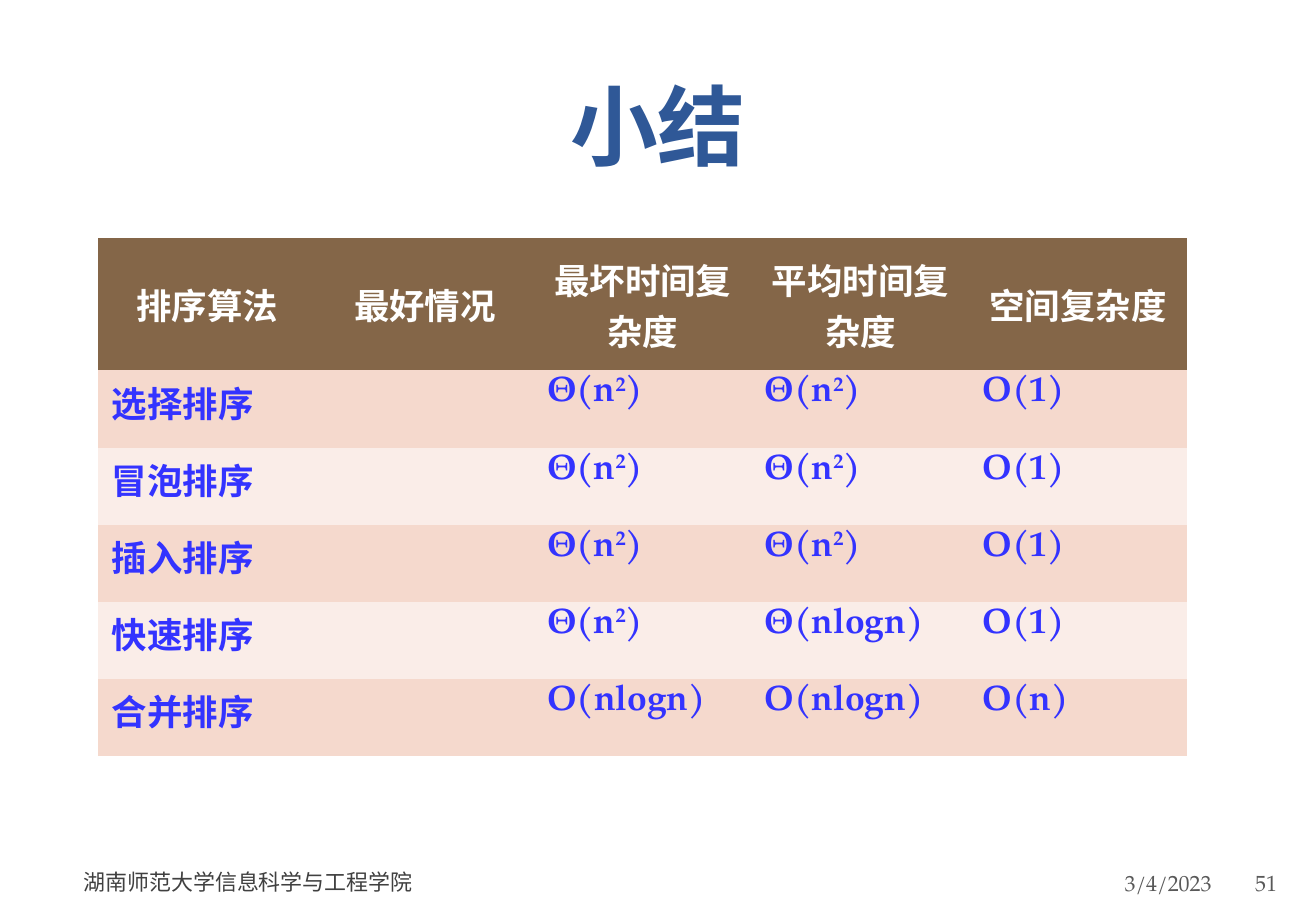
"""Build the summary slide comparing the complexity of sorting algorithms."""
from dataclasses import dataclass

from pptx import Presentation
from pptx.dml.color import RGBColor
from pptx.enum.text import MSO_ANCHOR, PP_ALIGN
from pptx.util import Inches, Pt

LEFT, CENTER, RIGHT = PP_ALIGN.LEFT, PP_ALIGN.CENTER, PP_ALIGN.RIGHT
TOP, MIDDLE, BOTTOM = MSO_ANCHOR.TOP, MSO_ANCHOR.MIDDLE, MSO_ANCHOR.BOTTOM


@dataclass(frozen=True)
class Theme:
    font: str = "TeX Gyre Pagella"
    background: str = "FFFFFF"
    title: str = "2F5897"
    header_text: str = "FFFFFF"
    header_fill: str = "846648"
    body_text: str = "3333FF"
    bands: tuple = ("F5D9CD", "FAEDE8")
    footer: str = "404040"
    page_info: str = "595959"
    title_size: int = 52
    table_size: int = 21
    footer_size: int = 13


theme = Theme()


def add_run(p, text, size, color, bold=False):
    r = p.add_run()
    r.text = text
    r.font.name = theme.font
    r.font.size = Pt(size)
    r.font.bold = bold
    r.font.color.rgb = RGBColor.from_string(color)
    return r


def set_margins(box, left, right):
    box.margin_left, box.margin_right = Inches(left), Inches(right)
    box.margin_top = box.margin_bottom = Inches(0.05)


prs = Presentation()
prs.slide_width, prs.slide_height = Inches(10.83), Inches(7.5)
s = prs.slides.add_slide(prs.slide_layouts[5])
s.background.fill.solid()
s.background.fill.fore_color.rgb = RGBColor.from_string(theme.background)

title = s.shapes.title
title.left, title.top = Inches(0.54), Inches(0.36)
title.width, title.height = Inches(9.75), Inches(1.15)
tf = title.text_frame
tf.vertical_anchor = BOTTOM
p = tf.paragraphs[0]
p.alignment = CENTER
p.line_spacing = Pt(62.8)
add_run(p, "小结", theme.title_size, theme.title, True)

footers = [
    ("3/4/2023", 7.55, 7.07, 2.47, 0.1, 0.05, RIGHT, theme.page_info),
    ("湖南师范大学信息科学与工程学院", 0.64, 7.06, 6.82, 0.05, 0.1, LEFT, theme.footer),
    ("51", 10.3, 7.07, 0.49, 0.03, 0.05, LEFT, theme.page_info),
]
for text, x, y, width, margin_left, margin_right, align, color in footers:
    sp = s.shapes.add_textbox(Inches(x), Inches(y), Inches(width), Inches(0.4))
    tf = sp.text_frame
    tf.word_wrap = True
    tf.vertical_anchor = MIDDLE
    set_margins(tf, margin_left, margin_right)
    p = tf.paragraphs[0]
    p.alignment = align
    add_run(p, text, theme.footer_size, color)

# Text between carets is superscript.
QUADRATIC = "Θ(n^2^)"
rows = [
    ("排序算法", "最好情况", "最坏时间复杂度", "平均时间复杂度", "空间复杂度"),
    ("选择排序", "", QUADRATIC, QUADRATIC, "O(1)"),
    ("冒泡排序", "", QUADRATIC, QUADRATIC, "O(1)"),
    ("插入排序", "", QUADRATIC, QUADRATIC, "O(1)"),
    ("快速排序", "", QUADRATIC, "Θ(nlogn)", "O(1)"),
    ("合并排序", "", "O(nlogn)", "O(nlogn)", "O(n)"),
]
table = s.shapes.add_table(len(rows), len(rows[0]), Inches(0.81), Inches(1.96),
                           Inches(8.96), Inches(4.27)).table
for i, row in enumerate(rows):
    header = i == 0
    table.rows[i].height = Inches(1.09 if header else 0.635)
    fill = theme.header_fill if header else theme.bands[(i - 1) % 2]
    color = theme.header_text if header else theme.body_text
    for j, text in enumerate(row):
        cell = table.cell(i, j)
        cell.fill.solid()
        cell.fill.fore_color.rgb = RGBColor.from_string(fill)
        cell.vertical_anchor = MIDDLE if header else TOP
        set_margins(cell, 0.11, 0.11)
        p = cell.text_frame.paragraphs[0]
        p.alignment = CENTER if header else LEFT
        if not text:
            continue
        for k, part in enumerate(text.split("^")):
            r = add_run(p, part, theme.table_size, color, True)
            if k % 2:
                r.font._element.set("baseline", "30000")

# The default style draws white rules between cells.
style_id = table._tbl.tblPr.find("{http://schemas.openxmlformats.org/drawingml/2006/main}tableStyleId")
style_id.text = "{2D5ABB26-0587-4C30-8999-92F81FD0307C}"

prs.save("out.pptx")
